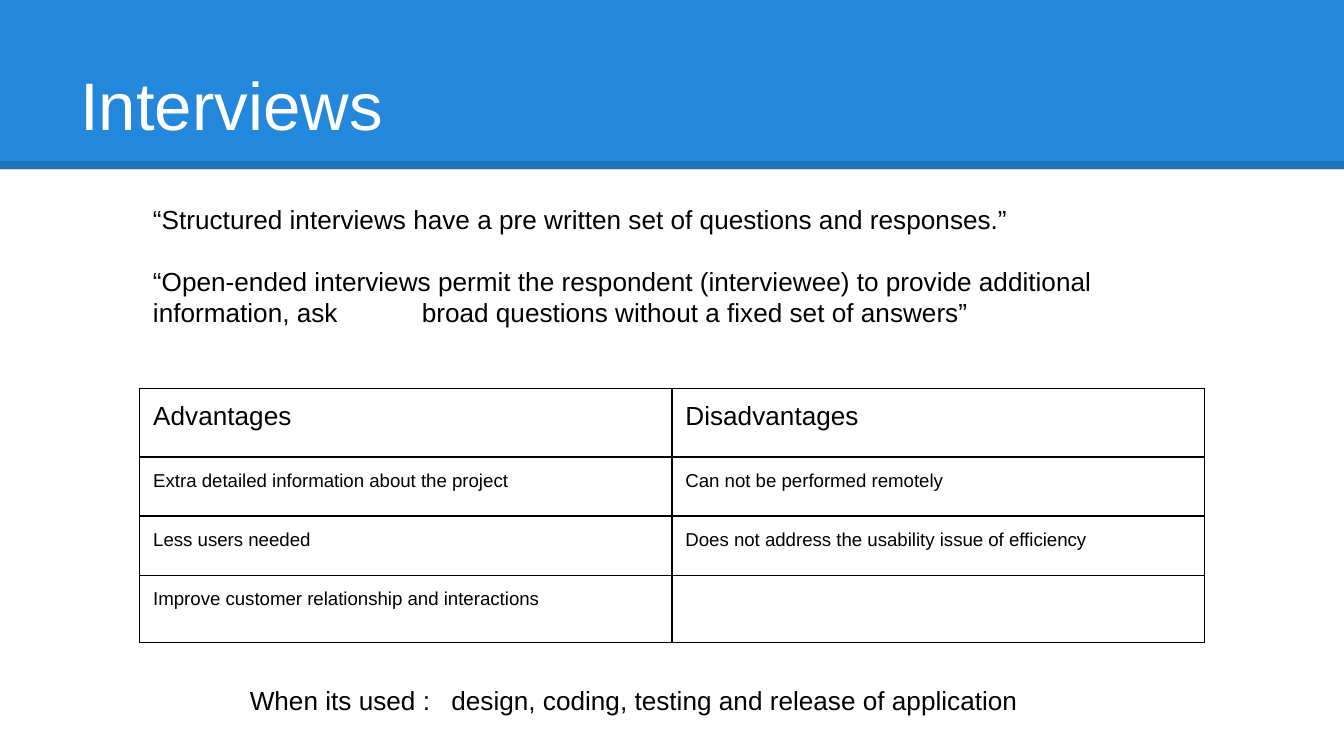
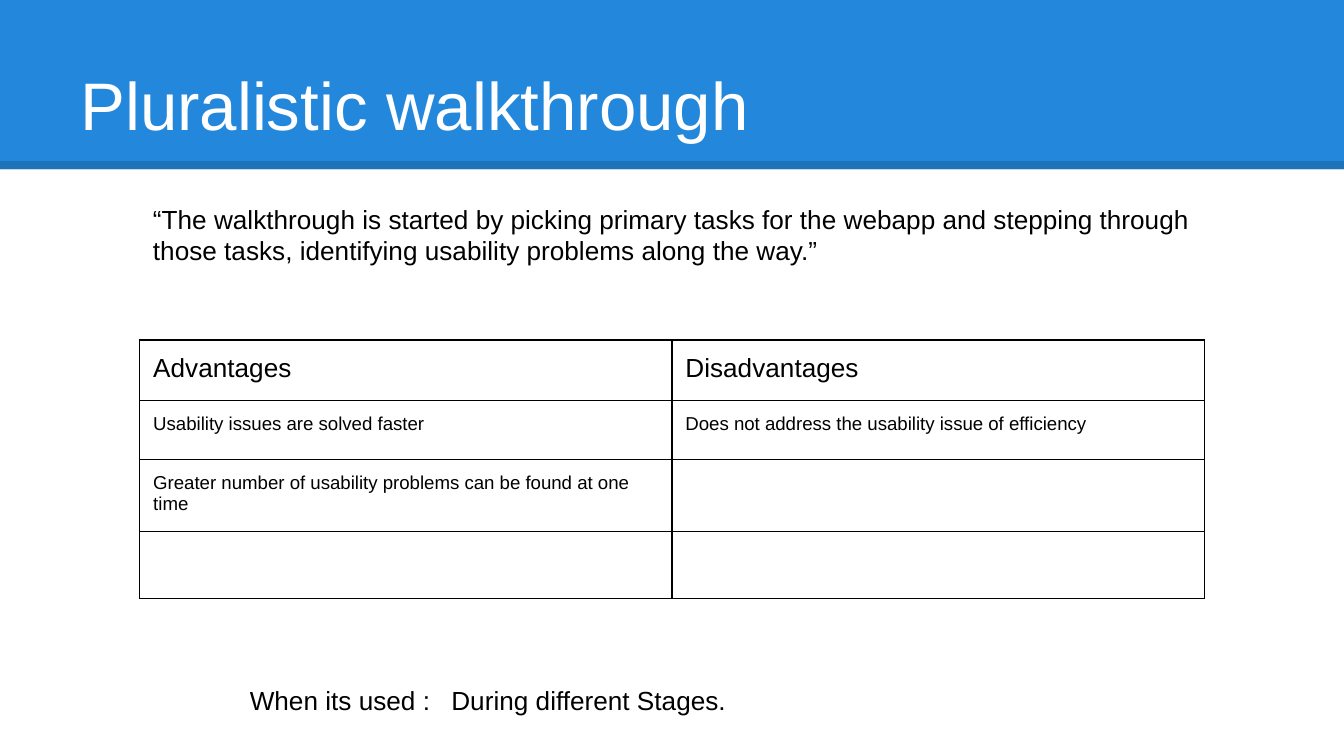
"""Build two slides that compare usability evaluation methods."""
from dataclasses import dataclass

from lxml import etree
from pptx import Presentation
from pptx import util as u
from pptx.dml.color import RGBColor
from pptx.enum import shapes, text
from pptx.oxml.ns import qn

BLUE = RGBColor(0x23, 0x88, 0xDB)
WHITE = RGBColor(0xFF, 0xFF, 0xFF)
BLACK = RGBColor(0x00, 0x00, 0x00)
FONT = "Arial"
WIDTH = u.Inches(10)
HEIGHT = WIDTH * 9 // 16
INSET = u.Inches(0.1)
MARGINS = {f"margin_{side}": INSET for side in ("left", "right", "top", "bottom")}
COLUMN_WIDTH = u.Inches(3.96)
TABLE_FRAME = u.Inches(3.28)
HEADINGS = ("Advantages", "Disadvantages")


@dataclass(frozen=True)
class TextStyle:
    """Place and format of a recurring text box."""
    left: float
    top: float
    width: float
    height: float
    size: int = 14
    color: RGBColor = BLACK
    anchor: text.MSO_ANCHOR = text.MSO_ANCHOR.TOP
    tab: float = 2.0


@dataclass(frozen=True)
class Method:
    """Content of one slide."""
    title: str
    quotes: tuple[str, ...]
    table_top: float
    row_heights: tuple[float, ...]
    rows: tuple[tuple[str, str], ...]
    usage: str


TITLE = TextStyle(0.5, 0.23, 9, 0.94, 36, WHITE, text.MSO_ANCHOR.BOTTOM)
QUOTE = TextStyle(1.04, 1.41, 7.97, 1.07)
USAGE = TextStyle(1.76, 4.99, 6.48, 0.43, tab=1.5)

METHODS = (
    Method(
        "Interviews",
        ("“Structured interviews have a pre written set of questions and responses.”",
         "“Open-ended interviews permit the respondent (interviewee) to provide additional "
         "information, ask \tbroad questions without a fixed set of answers”"),
        2.89, (0.51, 0.44, 0.44, 0.47),
        (("Extra detailed information about the project", "Can not be performed remotely"),
         ("Less users needed", "Does not address the usability issue of efficiency"),
         ("Improve customer relationship and interactions", "")),
        "design, coding, testing and release of application",
    ),
    Method(
        "Pluralistic walkthrough",
        ("“The walkthrough is started by picking primary tasks for the webapp and stepping "
         "through those tasks, identifying usability problems along the way.”",),
        2.53, (0.45, 0.44, 0.44, 0.45),
        (("Usability issues are solved faster",
          "Does not address the usability issue of efficiency"),
         ("Greater number of usability problems can be found at one time", ""),
         ("", "")),
        "During different Stages.",
    ),
)


def apply(target, values: dict) -> None:
    """Set attributes from a dict of format values."""
    for name, value in values.items():
        setattr(target, name, value)


def write(para, words: str, size: int, color: RGBColor) -> None:
    """Add one formatted run to a paragraph."""
    span = para.add_run()
    span.text = words
    apply(span.font, {"name": FONT, "size": u.Pt(size)})
    span.font.color.rgb = color


def add_text(page, style: TextStyle, *lines: str) -> None:
    """Add a text box with one paragraph per line."""
    place = (u.Inches(n) for n in (style.left, style.top, style.width, style.height))
    frame = page.shapes.add_textbox(*place).text_frame
    apply(frame, {"word_wrap": True, "vertical_anchor": style.anchor, **MARGINS})
    for index, line in enumerate(lines):
        para = frame.add_paragraph() if index else frame.paragraphs[0]
        if index:
            para.space_before = u.Pt(16.5)
        write(para, line, style.size, style.color)
        if "\t" in line:
            props = para._p.get_or_add_pPr()
            stops = etree.SubElement(props, qn("a:tabLst"))
            etree.SubElement(stops, qn("a:tab"), pos=str(u.Inches(style.tab)), algn="l")


def add_band(page) -> None:
    """Draw the title band and its translucent lower edge."""
    band = page.shapes.add_shape(
        shapes.MSO_SHAPE.RECTANGLE, 0, 0, WIDTH, u.Inches(1.26))
    band.shadow.inherit = False
    band.fill.solid()
    band.fill.fore_color.rgb = BLUE
    band.line.fill.background()
    edge_top = u.Inches(1.23)
    edge = page.shapes.add_connector(
        shapes.MSO_CONNECTOR.STRAIGHT, 0, edge_top, WIDTH, edge_top)
    edge.line.width = u.Pt(4.5)
    edge.line.color.rgb = BLACK
    color = edge.line._ln.find(".//" + qn("a:srgbClr"))
    etree.SubElement(color, qn("a:alpha"), val="15000")
    etree.SubElement(edge._element.spPr, qn("a:effectLst"))


def add_borders(cell) -> None:
    """Draw a thin black line on each side of a cell."""
    props = cell._tc.get_or_add_tcPr()
    for index, side in enumerate("LRTB"):
        line = etree.Element(qn(f"a:ln{side}"), w=str(u.Pt(0.75)))
        fill = etree.SubElement(line, qn("a:solidFill"))
        etree.SubElement(fill, qn("a:srgbClr"), val=str(BLACK))
        props.insert(index, line)


def add_comparison(page, method: Method) -> None:
    """Add the table of advantages and disadvantages."""
    rows = (HEADINGS, *method.rows)
    holder = page.shapes.add_table(
        len(rows), len(HEADINGS), u.Inches(QUOTE.left), u.Inches(method.table_top),
        TABLE_FRAME, TABLE_FRAME)
    table = holder.table
    apply(table, {"first_row": False, "horz_banding": False})
    for column in table.columns:
        column.width = COLUMN_WIDTH
    for row_index, (words, height) in enumerate(zip(rows, method.row_heights)):
        table.rows[row_index].height = u.Inches(height)
        for column_index, entry in enumerate(words):
            cell = table.cell(row_index, column_index)
            apply(cell, MARGINS)
            cell.fill.background()
            add_borders(cell)
            if entry:
                size = 10 if row_index else 14
                write(cell.text_frame.paragraphs[0], entry, size, BLACK)
    apply(holder, {"width": TABLE_FRAME, "height": TABLE_FRAME})


def add_method(deck, method: Method) -> None:
    """Add the slide for one evaluation method."""
    page = deck.slides.add_slide(deck.slide_layouts[6])
    add_band(page)
    add_text(page, TITLE, method.title)
    add_comparison(page, method)
    add_text(page, QUOTE, *method.quotes)
    add_text(page, USAGE, f"When its used :\t{method.usage}")


def main() -> None:
    """Build and save the deck."""
    deck = Presentation()
    apply(deck, {"slide_width": WIDTH, "slide_height": HEIGHT})
    for method in METHODS:
        add_method(deck, method)
    deck.save("out.pptx")


if __name__ == "__main__":
    main()
